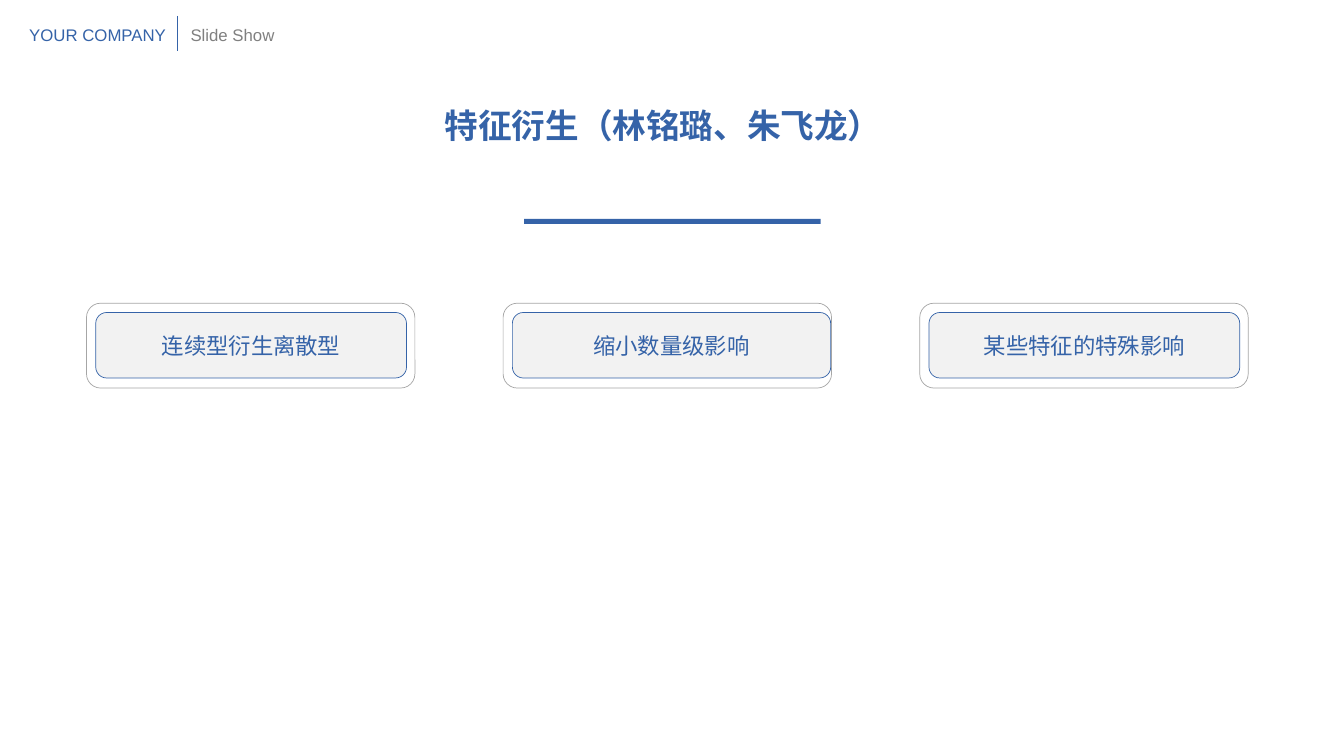
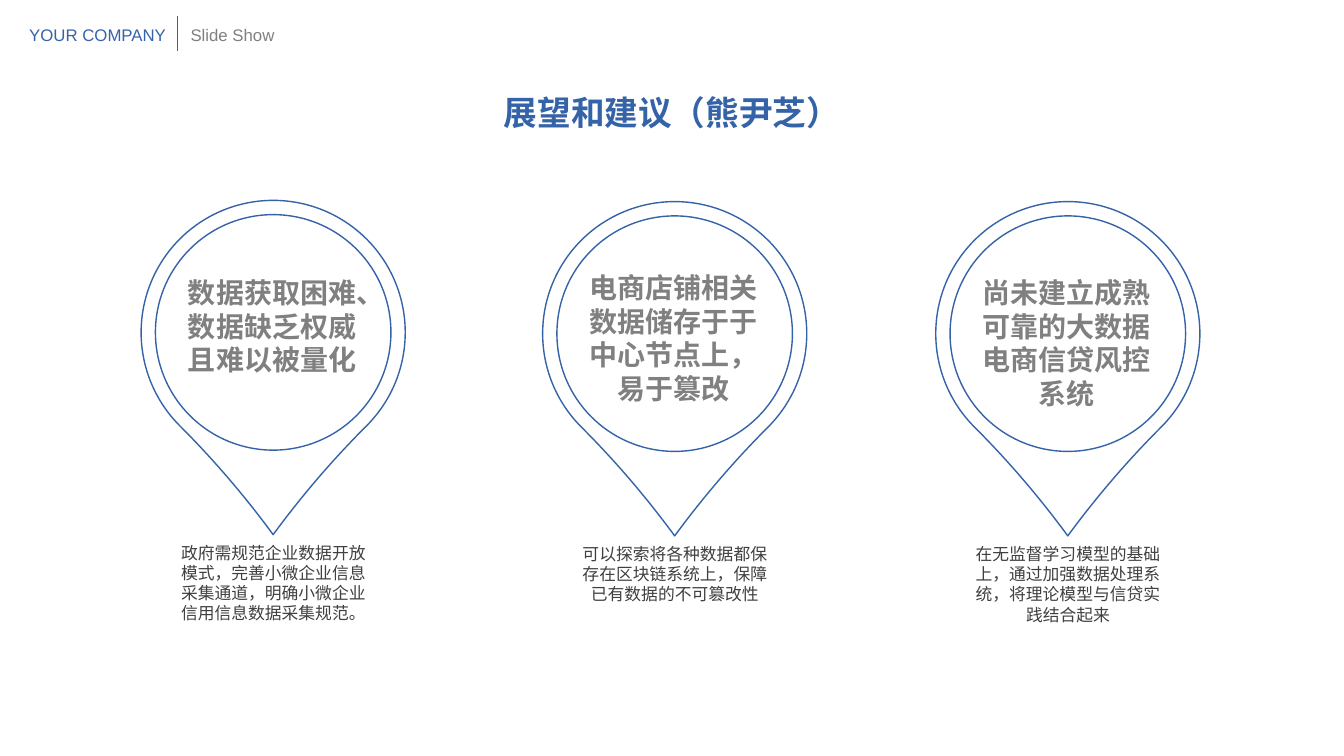
from lxml.etree import SubElement
from pptx import Presentation
from pptx.dml.color import RGBColor
from pptx.enum.shapes import MSO_CONNECTOR, MSO_SHAPE as Kind
from pptx.enum.text import MSO_ANCHOR as Anchor, MSO_AUTO_SIZE as Fit, PP_ALIGN as Align
from pptx.oxml.ns import qn
from pptx.util import Inches, Pt

BLUE, GREY, DARK = "3563A8", "808080", "404040"
PALE, SILVER, WHITE = "F2F2F2", "A6A6A6", "FFFFFF"
TITLE_ONLY = 5

TITLE = dict(size=24, bold=True, color=BLUE)
BUTTON = dict(size=16, color=BLUE)
ISSUE = dict(size=20, bold=True, color=GREY)
ADVICE = dict(size=12, color=DARK)


def rgb(hex_color):
    return RGBColor.from_string(hex_color)


def cells(*counts):
    """Lengths on a grid of 160 columns by 90 rows, twelve cells to the inch."""
    return [Inches(count / 12) for count in counts]


class Deck:
    def __init__(self):
        self.prs = Presentation()
        self.prs.slide_width, self.prs.slide_height = cells(160, 90)
        self.slide = None

    def new_slide(self, title, left, top):
        layout = self.prs.slide_layouts[TITLE_ONLY]
        self.slide = self.prs.slides.add_slide(layout)
        heading = self.slide.shapes.title
        heading.left, heading.top, heading.width, heading.height = cells(left, top, 63.5, 6)
        self.set_text(heading, title, TITLE)
        self.header()

    def header(self):
        self.divider(21.1, 1.9, 6.1)
        for left, width, words, color in ((2.3, 18.8, "YOUR COMPANY", BLUE),
                                          (21.5, 13.3, "Slide Show", GREY)):
            self.text(left, 2.3, width, 3.6, words, dict(size=12, color=color),
                      font="Arial", align=Align.LEFT, wrap=False)

    def divider(self, x, top, bottom):
        line = self.slide.shapes.add_connector(
            MSO_CONNECTOR.STRAIGHT, *cells(x, top, x, bottom))
        line.line.color.rgb = rgb(BLUE)
        line.line.width = Pt(0.5)
        SubElement(line._element.spPr, qn("a:effectLst"))

    def set_text(self, shape, words, style, font="DejaVu Sans Mono",
                 align=Align.CENTER, anchor=Anchor.TOP, wrap=True):
        frame = shape.text_frame
        frame.text = words
        for name, value in dict(word_wrap=wrap, auto_size=Fit.NONE,
                                vertical_anchor=anchor).items():
            setattr(frame, name, value)
        for margin, value in dict(left=0.1, top=0.05, right=0.1, bottom=0.05).items():
            setattr(frame, f"margin_{margin}", Inches(value))
        paragraph = frame.paragraphs[0]
        paragraph.alignment = align
        run = paragraph.runs[0]
        run.font.name = font
        run.font.size = Pt(style["size"])
        run.font.bold = style.get("bold", False)
        run.font.color.rgb = rgb(style["color"])
        SubElement(run._r.get_or_add_rPr(), qn("a:ea"), typeface=font)

    def text(self, left, top, width, height, words, style, **layout):
        box = self.slide.shapes.add_textbox(*cells(left, top, width, height))
        self.set_text(box, words, style, **layout)

    def shape(self, kind, left, top, width, height, fill=None, line=None, weight=0.5):
        shape = self.slide.shapes.add_shape(kind, *cells(left, top, width, height))
        shape.shadow.inherit = False
        if fill:
            shape.fill.solid()
            shape.fill.fore_color.rgb = rgb(fill)
        else:
            shape.fill.background()
        if line:
            shape.line.color.rgb = rgb(line)
            shape.line.width = Pt(weight)
        else:
            shape.line.fill.background()
        return shape

    def button(self, left, top, words, inner_width):
        face = self.shape(Kind.ROUNDED_RECTANGLE, left + 1.1, top + 1.1,
                          inner_width, 7.8, PALE, BLUE)
        self.set_text(face, words, BUTTON, anchor=Anchor.MIDDLE)
        self.shape(Kind.ROUNDED_RECTANGLE, left, top, 39.1, 10.1, line=SILVER)

    def pin(self, left, top, issue, issue_top, advice):
        """Draw a map pin with the issue inside and the advice under its tip."""
        size, inset = 31.44, 1.7
        drop = self.shape(Kind.TEAR, left, top, size, size, WHITE, BLUE, 1)
        drop.adjustments[0] = 1.083
        drop.rotation = 135
        ring = size - 2 * inset
        self.shape(Kind.OVAL, left + inset, top + inset, ring, ring, WHITE, BLUE, 1)
        self.text(left + 3.2, issue_top, 24.8, 17.4, issue, ISSUE)
        self.text(left + 3.15, top + 40.15, 25.2, 10.9, advice, ADVICE)


def main():
    deck = Deck()

    deck.new_slide("特征衍生（林铭璐、朱飞龙）", 47.2, 11.9)
    deck.shape(Kind.RECTANGLE, 62.4, 26.05, 35.3, 0.6, BLUE)
    methods = (("连续型衍生离散型", 37), ("缩小数量级影响", 37.9), ("某些特征的特殊影响", 37))
    for column, (method, inner_width) in enumerate(methods):
        deck.button(10.3 + 49.6 * column, 36.1, method, inner_width)

    deck.new_slide("展望和建议（熊尹芝）", 48.25, 10.3)
    outlook = (
        (16.8, 23.85, "数据获取困难、数据缺乏权威且难以被量化", 32.2,
         "政府需规范企业数据开放模式，完善小微企业信息采集通道，明确小微企业信用信息数据采集规范。"),
        (64.6, 24, "电商店铺相关数据储存于于中心节点上，易于篡改", 31.6,
         "可以探索将各种数据都保存在区块链系统上，保障已有数据的不可篡改性"),
        (111.4, 24, "尚未建立成熟可靠的大数据电商信贷风控系统", 32.2,
         "在无监督学习模型的基础上，通过加强数据处理系统，将理论模型与信贷实践结合起来"),
    )
    for entry in outlook:
        deck.pin(*entry)

    deck.prs.save("out.pptx")


if __name__ == "__main__":
    main()
